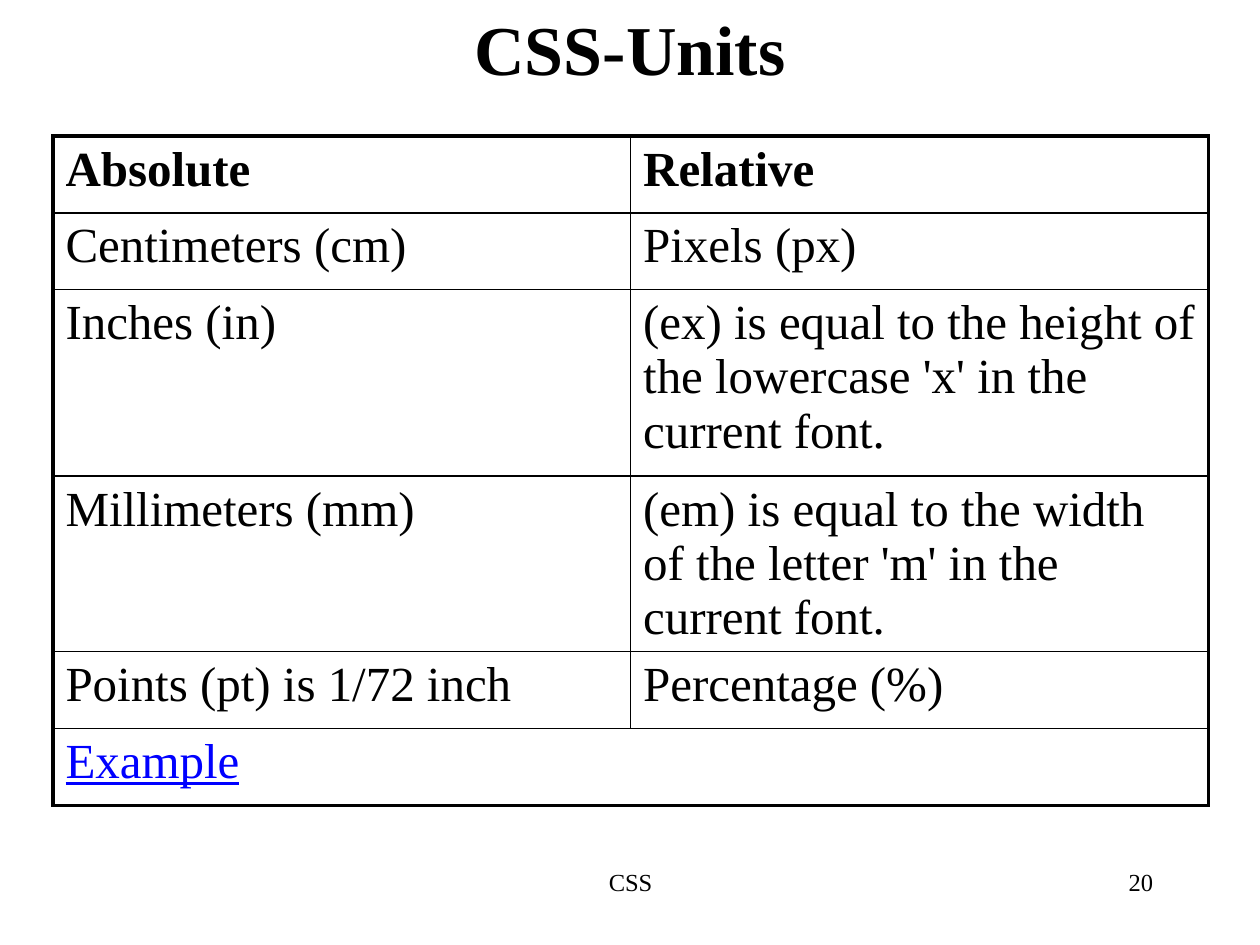
"""Build the CSS units slide: a title, a table of units and a footer."""
from lxml import etree
from pptx import Presentation
from pptx.dml.color import RGBColor
from pptx.enum.text import MSO_ANCHOR, PP_ALIGN
from pptx.oxml.ns import qn
from pptx.util import Inches, Pt

CENTER, LEFT, RIGHT = PP_ALIGN.CENTER, PP_ALIGN.LEFT, PP_ALIGN.RIGHT
MIDDLE, TOP = MSO_ANCHOR.MIDDLE, MSO_ANCHOR.TOP
BLACK, BLUE = "000000", "0000FF"
OUTER, INNER = Pt(2.25), Pt(1)


def write(frame, text, size, align=LEFT, color=BLACK, bold=False, underline=False):
    paragraph = frame.paragraphs[0]
    paragraph.alignment = align
    run = paragraph.add_run()
    run.text = text
    formats = {"name": "Times New Roman", "size": Pt(size), "bold": bold, "underline": underline}
    for attribute, value in formats.items():
        setattr(run.font, attribute, value)
    run.font.color.rgb = RGBColor.from_string(color)


def draw_border(cell, side, width):
    line = etree.SubElement(cell._tc.get_or_add_tcPr(), qn(f"a:{side}"), w=str(width))
    fill = etree.SubElement(line, qn("a:solidFill"))
    etree.SubElement(fill, qn("a:srgbClr"), val=BLACK)


presentation = Presentation()
presentation.slide_width, presentation.slide_height = Inches(10), Inches(7.5)
slide = presentation.slides.add_slide(presentation.slide_layouts[5])

title = slide.shapes.title
title_place = {"left": 0.75, "top": -0.25, "width": 8.5, "height": 1.25}
for attribute, value in title_place.items():
    setattr(title, attribute, Inches(value))
title.text_frame.vertical_anchor = MIDDLE
write(title.text_frame, "CSS-Units", 40, CENTER, bold=True)

units = [
    ("Absolute", "Relative"),
    ("Centimeters (cm)", "Pixels (px)"),
    ("Inches (in)", "(ex) is equal to the height of the lowercase 'x' in the current font."),
    ("Millimeters (mm)", "(em) is equal to the width of the letter 'm' in the current font."),
    ("Points (pt) is 1/72 inch", "Percentage (%)"),
    ("Example", ""),
]
row_heights = [0.61, 0.61, 1.48, 1.39, 0.61, 0.61]
last_row = len(units) - 1

table = slide.shapes.add_table(
    len(units), 2, Inches(0.42), Inches(1.08), Inches(9.17), Inches(sum(row_heights))
).table
table.first_row = table.horz_banding = False
for column in table.columns:
    column.width = Inches(9.17 / 2)
table.cell(last_row, 0).merge(table.cell(last_row, 1))

for row_index, (texts, height) in enumerate(zip(units, row_heights)):
    table.rows[row_index].height = Inches(height)
    header, merged = row_index == 0, row_index == last_row
    for column_index, text in enumerate(texts):
        cell = table.cell(row_index, column_index)
        outer_sides = {
            "lnL": column_index == 0 or merged,
            "lnR": column_index == 1 or merged,
            "lnT": header,
            "lnB": merged,
        }
        for side, is_outer in outer_sides.items():
            draw_border(cell, side, OUTER if is_outer else INNER)
        cell.fill.background()
        if text:
            color = BLUE if merged else BLACK
            write(cell.text_frame, text, 28, color=color, bold=header, underline=merged)

for text, left, width, align in [("CSS", 3.42, 3.17, CENTER), ("20", 7.17, 2.08, RIGHT)]:
    box = slide.shapes.add_textbox(Inches(left), Inches(6.83), Inches(width), Inches(0.5))
    box.text_frame.word_wrap = True
    box.text_frame.vertical_anchor = TOP
    write(box.text_frame, text, 14, align)

presentation.save("out.pptx")
